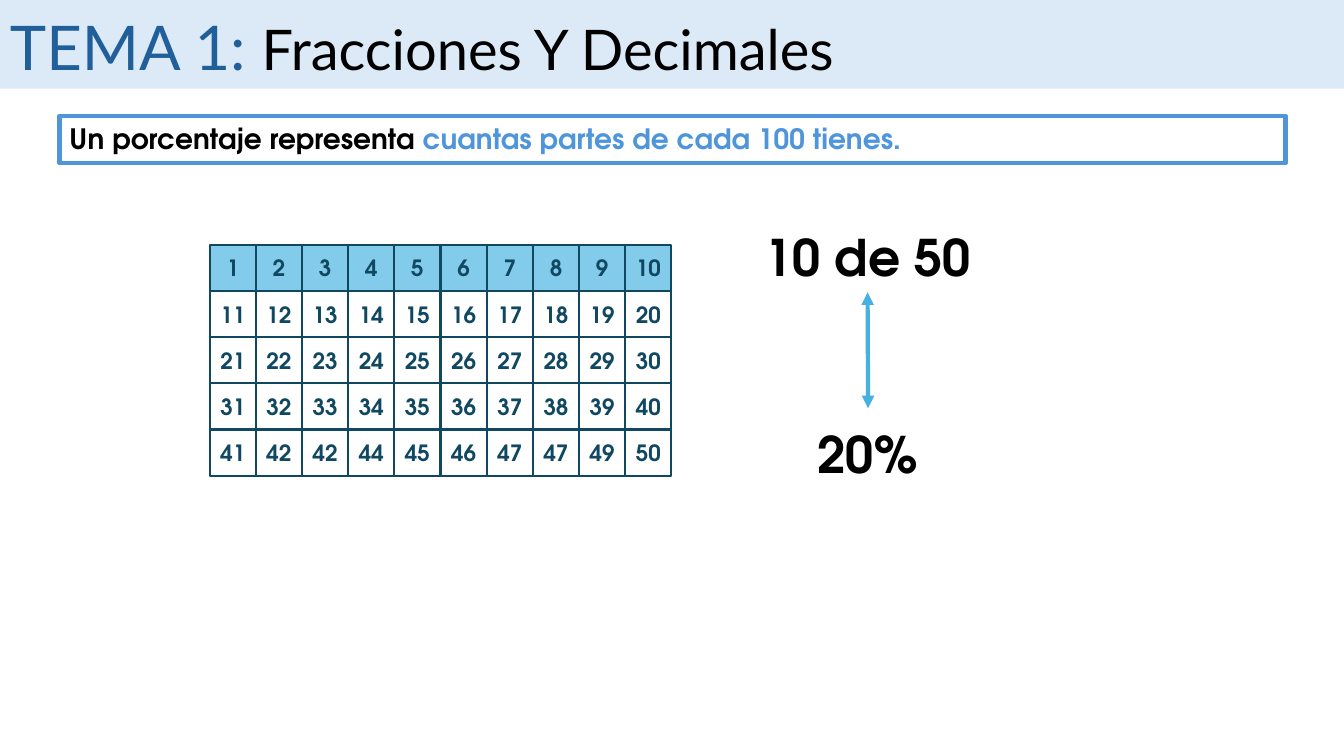
from dataclasses import dataclass
from typing import Optional

from lxml.etree import SubElement
from pptx import Presentation
from pptx.dml.color import RGBColor
from pptx.enum.shapes import MSO_CONNECTOR, MSO_SHAPE
from pptx.enum.text import MSO_ANCHOR, MSO_AUTO_SIZE, PP_ALIGN
from pptx.oxml.ns import qn
from pptx.shapes.autoshape import Shape
from pptx.slide import Slide
from pptx.util import Inches, Pt

BLACK = RGBColor(0x00, 0x00, 0x00)
WHITE = RGBColor(0xFF, 0xFF, 0xFF)
BANNER_BLUE = RGBColor(0xDC, 0xEA, 0xF7)
TITLE_BLUE = RGBColor(0x21, 0x5F, 0x9A)
ACCENT_BLUE = RGBColor(0x4E, 0x95, 0xD9)
GRID_BLUE = RGBColor(0x10, 0x48, 0x62)
CELL_BLUE = RGBColor(0x83, 0xCB, 0xEB)
ARROW_BLUE = RGBColor(0x46, 0xB1, 0xE1)

BODY_FONT = "TeX Gyre Adventor"
TITLE_FONT = "Lato"

GRID_LEFT, GRID_TOP = 2.08, 2.43
GRID_WIDTH, GRID_HEIGHT = 4.58, 2.29
COLUMNS, ROWS = 10, 5
ROW_FILLS = [CELL_BLUE, None, WHITE, WHITE, WHITE]
# Two cells show a number other than their position
CELL_LABELS = {43: "42", 48: "47"}


@dataclass(frozen=True)
class Box:
    left: float
    top: float
    width: float
    height: float


@dataclass(frozen=True)
class TextRun:
    text: str
    size: float
    color: RGBColor
    font: str = BODY_FONT
    bold: bool = True


def add_runs(shape: Shape, runs: list[TextRun], alignment: PP_ALIGN) -> None:
    paragraph = shape.text_frame.paragraphs[0]
    paragraph.alignment = alignment
    for item in runs:
        run = paragraph.add_run()
        run.text = item.text
        run.font.size = Pt(item.size)
        run.font.name = item.font
        run.font.bold = item.bold
        run.font.color.rgb = item.color


def add_rectangle(slide: Slide, box: Box, fill: Optional[RGBColor],
                  line: Optional[RGBColor] = None, line_width: float = 0) -> Shape:
    shape = slide.shapes.add_shape(
        MSO_SHAPE.RECTANGLE, Inches(box.left), Inches(box.top),
        Inches(box.width), Inches(box.height))
    shape.shadow.inherit = False
    if fill is None:
        shape.fill.background()
    else:
        shape.fill.solid()
        shape.fill.fore_color.rgb = fill
    if line is None:
        shape.line.fill.background()
    else:
        shape.line.color.rgb = line
        shape.line.width = Pt(line_width)
    return shape


def add_text(slide: Slide, box: Box, runs: list[TextRun],
             alignment: PP_ALIGN = PP_ALIGN.LEFT) -> Shape:
    shape = slide.shapes.add_textbox(
        Inches(box.left), Inches(box.top), Inches(box.width), Inches(box.height))
    shape.text_frame.word_wrap = True
    shape.text_frame.auto_size = MSO_AUTO_SIZE.SHAPE_TO_FIT_TEXT
    add_runs(shape, runs, alignment)
    return shape


def add_number_cell(slide: Slide, row: int, column: int) -> None:
    width, height = GRID_WIDTH / COLUMNS, GRID_HEIGHT / ROWS
    box = Box(GRID_LEFT + column * width, GRID_TOP + row * height, width, height)
    cell = add_rectangle(slide, box, ROW_FILLS[row], GRID_BLUE, 1.5)
    frame = cell.text_frame
    frame.margin_left = frame.margin_right = 0
    frame.vertical_anchor = MSO_ANCHOR.MIDDLE
    number = row * COLUMNS + column + 1
    label = CELL_LABELS.get(number, str(number))
    add_runs(cell, [TextRun(label, 16, GRID_BLUE)], PP_ALIGN.CENTER)


def add_double_arrow(slide: Slide, start: Shape, x: float, top: float, bottom: float) -> None:
    arrow = slide.shapes.add_connector(
        MSO_CONNECTOR.STRAIGHT, Inches(x), Inches(top), Inches(x), Inches(bottom))
    arrow.begin_connect(start, 2)
    arrow.line.color.rgb = ARROW_BLUE
    arrow.line.width = Pt(3)
    properties = arrow.element.spPr
    line = properties.find(qn("a:ln"))
    for end in ("a:headEnd", "a:tailEnd"):
        SubElement(line, qn(end), type="triangle")
    SubElement(properties, qn("a:effectLst"))


def main() -> None:
    presentation = Presentation()
    presentation.slide_width = Inches(13.33)
    presentation.slide_height = Inches(7.5)
    slide = presentation.slides.add_slide(presentation.slide_layouts[6])

    # Definition
    add_rectangle(slide, Box(0.59, 1.15, 12.16, 0.47), None, ACCENT_BLUE, 3)
    add_text(slide, Box(0.59, 1.16, 12.16, 0.44), [
        TextRun("Un porcentaje representa ", 20, BLACK),
        TextRun("cuantas partes de cada 100 tienes.", 20, ACCENT_BLUE),
    ])

    # Number grid
    for row in range(ROWS):
        for column in range(COLUMNS):
            add_number_cell(slide, row, column)

    # Equivalence
    fraction = add_text(slide, Box(7.04, 2.19, 3.13, 0.71),
                        [TextRun("10 de 50", 36, BLACK)], PP_ALIGN.CENTER)
    add_text(slide, Box(7.04, 4.15, 3.13, 0.71),
             [TextRun("20%", 36, BLACK)], PP_ALIGN.CENTER)
    add_double_arrow(slide, fraction, 8.61, 2.91, 4.05)

    # Title banner
    add_rectangle(slide, Box(0, 0, 13.33, 0.88), BANNER_BLUE)
    add_text(slide, Box(0, 0.04, 11.85, 0.84), [
        TextRun("TEMA 1: ", 44, TITLE_BLUE, TITLE_FONT, False),
        TextRun("Fracciones Y Decimales", 40, BLACK, TITLE_FONT, False),
    ])

    presentation.save("out.pptx")


if __name__ == "__main__":
    main()
